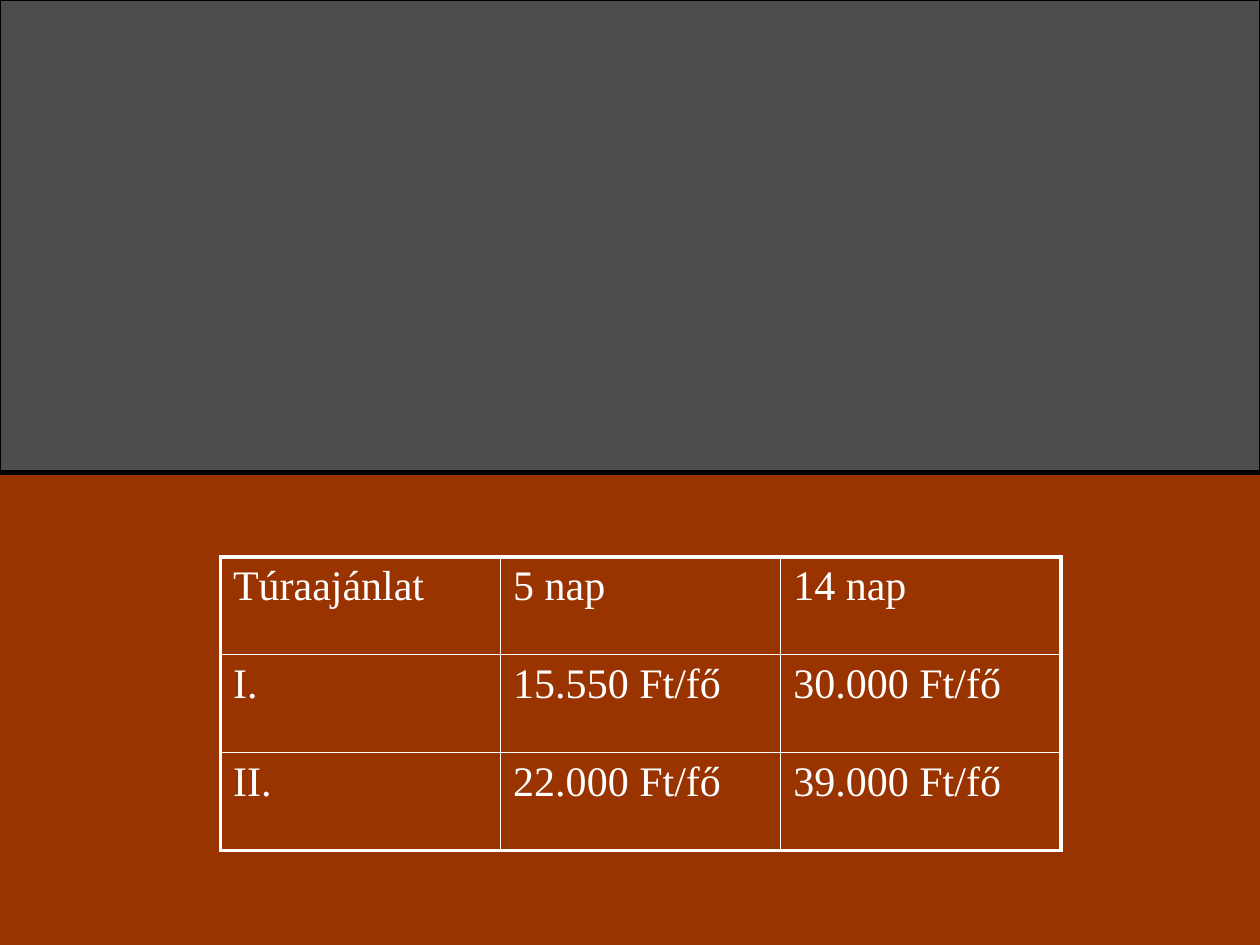
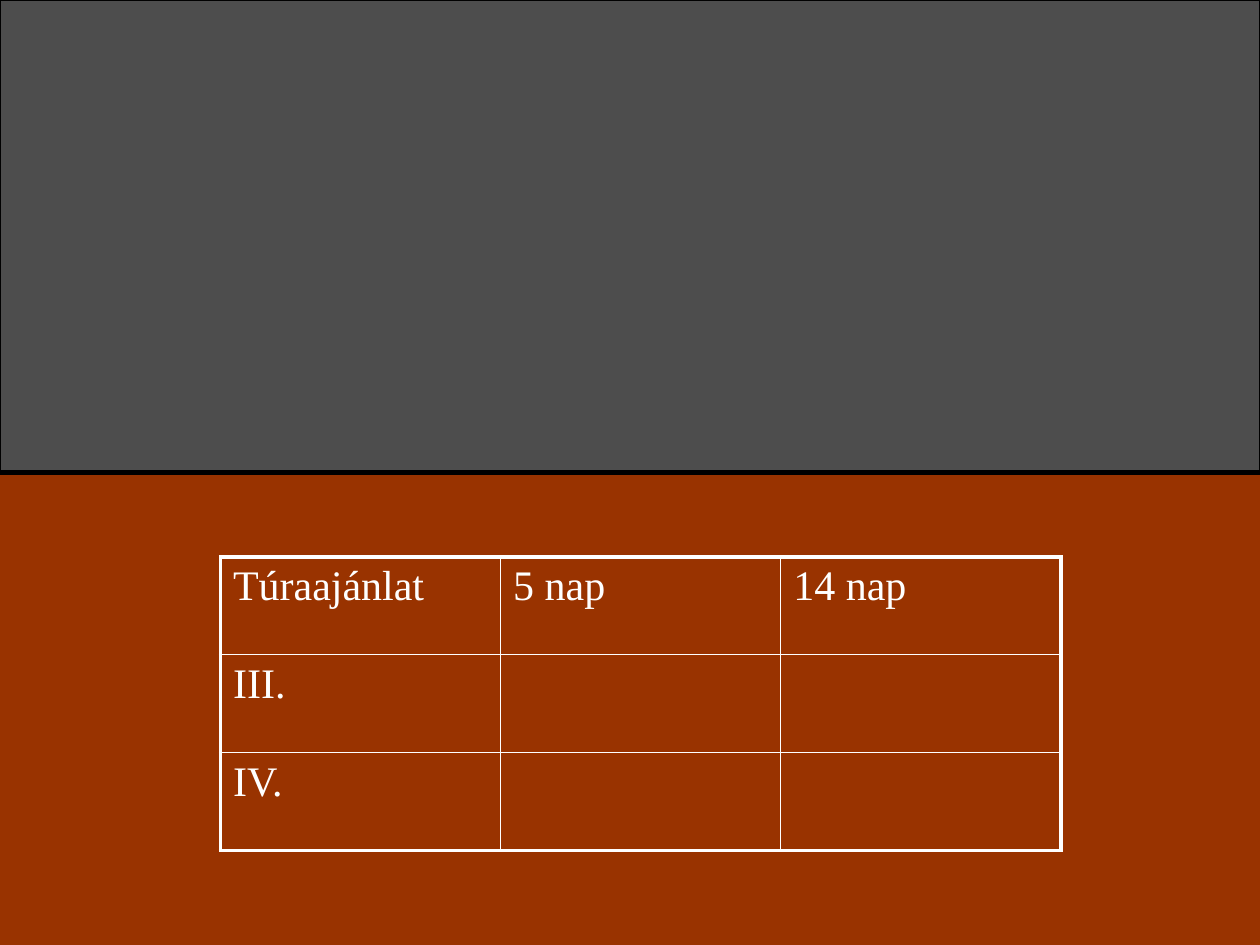
from dataclasses import dataclass

from lxml import etree
from pptx import Presentation
from pptx.dml.color import RGBColor as RGB
from pptx.enum.shapes import MSO_CONNECTOR as CONN, MSO_SHAPE as SHAPE
from pptx.oxml.ns import qn
from pptx.util import Inches, Pt


@dataclass(frozen=True)
class Theme:
    background: RGB = RGB(0x99, 0x33, 0x00)
    band: RGB = RGB(0x4D, 0x4D, 0x4D)
    outline: RGB = RGB(0x00, 0x00, 0x00)
    light: RGB = RGB(0xFF, 0xFF, 0xFF)
    font: str = "Times New Roman"
    size: float = 24
    band_line: float = 0.75
    divider_line: float = 3
    outer_border: float = 2.25
    inner_border: float = 1


THEME = Theme()
WIDTH, HEIGHT = 10, 7.5
BAND_BOX = (0, 0, WIDTH, HEIGHT / 2)
TABLE_BOX = (1.75, 4.42, 6.67, 2.33)

HEADER = ("Túraajánlat", "5 nap", "14 nap")
OFFERS = (
    (("I.", "15.550 Ft/fő", "30.000 Ft/fő"),
     ("II.", "22.000 Ft/fő", "39.000 Ft/fő")),
    (("III.", "", ""),
     ("IV.", "", "")),
)


def add_band(slide, box):
    """Grey band with a thick divider along its lower edge."""
    x, y, w, h = map(Inches, box)
    band = slide.shapes.add_shape(SHAPE.RECTANGLE, x, y, w, h)
    band.shadow.inherit = False
    band.fill.solid()
    band.fill.fore_color.rgb = THEME.band
    band.line.color.rgb = THEME.outline
    band.line.width = Pt(THEME.band_line)

    divider = slide.shapes.add_connector(CONN.STRAIGHT, x, y + h, x + w, y + h)
    divider.line.color.rgb = THEME.outline
    divider.line.width = Pt(THEME.divider_line)
    etree.SubElement(divider._element.spPr, qn("a:effectLst"))


def set_borders(cell, outer_sides):
    """Draw all four borders, heavier on the sides named in outer_sides."""
    tc_pr = cell._tc.get_or_add_tcPr()
    for side in "LRTB":
        width = THEME.outer_border if side in outer_sides else THEME.inner_border
        ln = etree.SubElement(tc_pr, qn(f"a:ln{side}"), w=str(Pt(width)))
        fill = etree.SubElement(ln, qn("a:solidFill"))
        etree.SubElement(fill, qn("a:srgbClr"), val=str(THEME.light))


def fill_cell(cell, text):
    cell.fill.background()
    p = cell.text_frame.paragraphs[0]
    p.text = text
    p.font.name = THEME.font
    p.font.size = Pt(THEME.size)
    p.font.color.rgb = THEME.light


def add_price_table(slide, box, rows):
    x, y, w, h = map(Inches, box)
    last_row, last_col = len(rows) - 1, len(rows[0]) - 1
    table = slide.shapes.add_table(len(rows), len(rows[0]), x, y, w, h).table
    table.first_row = table.horz_banding = False
    for r, row in enumerate(rows):
        for c, text in enumerate(row):
            edges = {"L": c == 0, "R": c == last_col, "T": r == 0, "B": r == last_row}
            cell = table.cell(r, c)
            set_borders(cell, [side for side, is_outer in edges.items() if is_outer])
            fill_cell(cell, text)


def add_offer_slide(prs, offers):
    slide = prs.slides.add_slide(prs.slide_layouts[6])
    slide.background.fill.solid()
    slide.background.fill.fore_color.rgb = THEME.background
    add_band(slide, BAND_BOX)
    add_price_table(slide, TABLE_BOX, (HEADER, *offers))


def main():
    prs = Presentation()
    prs.slide_width, prs.slide_height = Inches(WIDTH), Inches(HEIGHT)
    for offers in OFFERS:
        add_offer_slide(prs, offers)
    prs.save("out.pptx")


if __name__ == "__main__":
    main()
